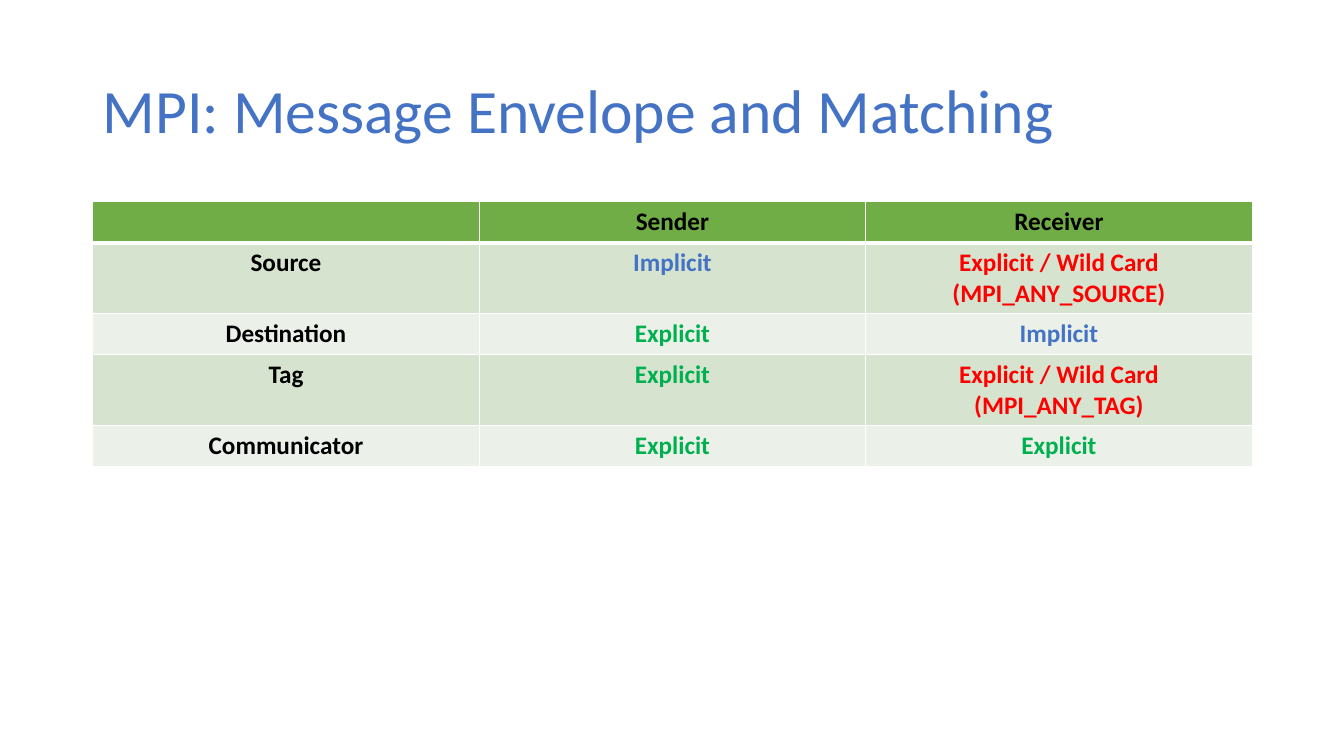
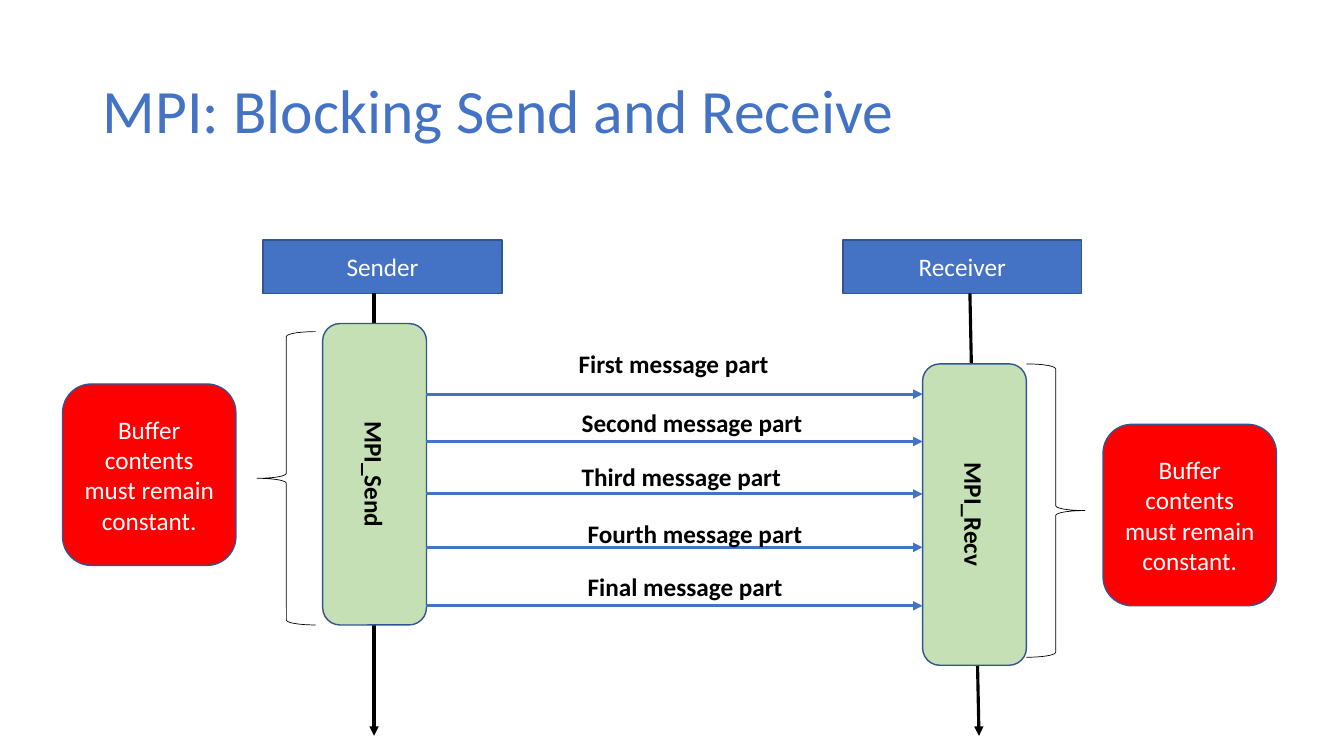
from lxml import etree
from pptx import Presentation
from pptx.dml.color import RGBColor
from pptx.enum.shapes import MSO_CONNECTOR, MSO_SHAPE
from pptx.enum.text import MSO_ANCHOR, PP_ALIGN
from pptx.oxml.ns import qn
from pptx.util import Emu, Pt

LEFT, CENTER = PP_ALIGN.LEFT, PP_ALIGN.CENTER
TOP, MIDDLE = MSO_ANCHOR.TOP, MSO_ANCHOR.MIDDLE
RECT, ROUND = MSO_SHAPE.RECTANGLE, MSO_SHAPE.ROUNDED_RECTANGLE
BRACE = MSO_SHAPE.LEFT_BRACE
STRAIGHT = MSO_CONNECTOR.STRAIGHT

PX = 9144  # EMU per px, 100 px to the inch
FONT = "Calibri"
COLORS = {
    "blue": "4472C4", "edge": "325491", "black": "000000", "white": "FFFFFF",
    "head": "70AD47", "dark": "D5E3CF", "light": "EBF1E9",
    "red": "FF0000", "green": "00B050", "bar": "C5E0B4",
}

# Slide 1: row height, then (text, colour) for each cell
GRID = (92, 200, 1150)
ROWS = [
    (41, [("", "black"), ("Sender", "black"), ("Receiver", "black")]),
    (70, [("Source", "black"), ("Implicit", "blue"),
          ("Explicit / Wild Card (MPI_ANY_SOURCE)", "red")]),
    (41, [("Destination", "black"), ("Explicit", "green"),
          ("Implicit", "blue")]),
    (70, [("Tag", "black"), ("Explicit", "green"),
          ("Explicit / Wild Card (MPI_ANY_TAG)", "red")]),
    (41, [("Communicator", "black"), ("Explicit", "green"),
          ("Explicit", "green")]),
]

# Slide 2
NOTE = "Buffer contents must remain constant."
SIDES = [
    dict(name="Sender", head=261, life=(371, 371), call="MPI_Send",
         bar=(222, 419), note=(62, 381), brace=(255, 329), turn=0),
    dict(name="Receiver", head=836, life=(962, 971), call="MPI_Recv",
         bar=(817, 459), note=(1094, 421), brace=(1018, 361), turn=180),
]
FLOW = (423, 915)
# Text, label left, label top, arrow height
PARTS = [
    ("First message part", 564, 341, 391),
    ("Second message part", 567, 399, 438),
    ("Third message part", 567, 453, 490),
    ("Fourth message part", 573, 509, 543),
    ("Final message part", 573, 562, 601),
]


def px(*nums):
    return [Emu(round(n * PX)) for n in nums]


def rgb(name):
    return RGBColor.from_string(COLORS[name])


def write(frame, text, size=18, color="black", bold=False, align=CENTER,
          space=1.0):
    frame.word_wrap = True
    para = frame.paragraphs[0]
    para.alignment = align
    para.line_spacing = space
    run = para.add_run()
    run.text = text
    font = run.font
    font.name, font.size, font.bold = FONT, Pt(size), bold
    font.color.rgb = rgb(color)


def label(slide, text, box, anchor=TOP, **form):
    frame = slide.shapes.add_textbox(*px(*box)).text_frame
    frame.vertical_anchor = anchor
    write(frame, text, align=LEFT, **form)


def block(slide, kind, box, fill=None, edge="edge", width=1, turn=0,
          text="", **form):
    shape = slide.shapes.add_shape(kind, *px(*box))
    shape.shadow.inherit = False
    shape.rotation = turn
    if fill:
        shape.fill.solid()
        shape.fill.fore_color.rgb = rgb(fill)
    else:
        shape.fill.background()
    shape.line.color.rgb = rgb(edge)
    shape.line.width = Pt(width)
    if text:
        shape.text_frame.vertical_anchor = MIDDLE
        write(shape.text_frame, text, **form)


def arrow(slide, start, end, color):
    line = slide.shapes.add_connector(STRAIGHT, *px(*start, *end))
    line.line.color.rgb = rgb(color)
    line.line.width = Pt(2.25)
    etree.SubElement(line.line._get_or_add_ln(), qn("a:tailEnd"),
                     type="triangle")
    etree.SubElement(line._element.spPr, qn("a:effectLst"))


def border(cell, base):
    """Draw white cell edges; base is the width of the bottom one."""
    props = cell._tc.get_or_add_tcPr()
    for side, width in zip("LRTB", (1, 1, 1, base)):
        line = etree.SubElement(props, qn("a:ln" + side), w=str(Pt(width)))
        fill = etree.SubElement(line, qn("a:solidFill"))
        etree.SubElement(fill, qn("a:srgbClr"), val=COLORS["white"])


def page(deck, title):
    slide = deck.slides.add_slide(deck.slide_layouts[6])
    label(slide, title, (92, 40, 1150, 145), anchor=MIDDLE, size=44,
          color="blue", space=0.9)
    return slide


def envelope(deck):
    slide = page(deck, "MPI: Message Envelope and Matching")
    cols = len(ROWS[0][1])
    tall = sum(high for high, _ in ROWS)
    table = slide.shapes.add_table(len(ROWS), cols, *px(*GRID, tall)).table
    for col in table.columns:
        col.width = px(GRID[2] / cols)[0]
    for r, (high, cells) in enumerate(ROWS):
        table.rows[r].height = px(high)[0]
        tone = "head" if r == 0 else ("light", "dark")[r % 2]
        for c, (text, color) in enumerate(cells):
            cell = table.cell(r, c)
            border(cell, 3 if r < 1 else 1)
            cell.fill.solid()
            cell.fill.fore_color.rgb = rgb(tone)
            if text:
                write(cell.text_frame, text, color=color, bold=True)


def blocking(deck):
    slide = page(deck, "MPI: Blocking Send and Receive")
    for side in SIDES:
        top, end = side["life"]
        block(slide, RECT, (side["head"], 238, 237, 53), fill="blue",
              text=side["name"], color="white")
        arrow(slide, (top, 291), (end, 730), "black")
        block(slide, ROUND, (*side["bar"], 299, 103), fill="bar", turn=90,
              text=side["call"], bold=True)
        block(slide, ROUND, (*side["note"], 172, 180), fill="red",
              text=NOTE, color="white")
        block(slide, BRACE, (*side["brace"], 58, 291), edge="black",
              width=0.5, turn=side["turn"])
    for text, left, top, y in PARTS:
        arrow(slide, (FLOW[0], y), (FLOW[1], y), "blue")
        label(slide, text, (left, top, 271, 40), bold=True)


def main():
    deck = Presentation()
    deck.slide_width, deck.slide_height = px(1333, 750)
    envelope(deck)
    blocking(deck)
    deck.save("out.pptx")


if __name__ == "__main__":
    main()
